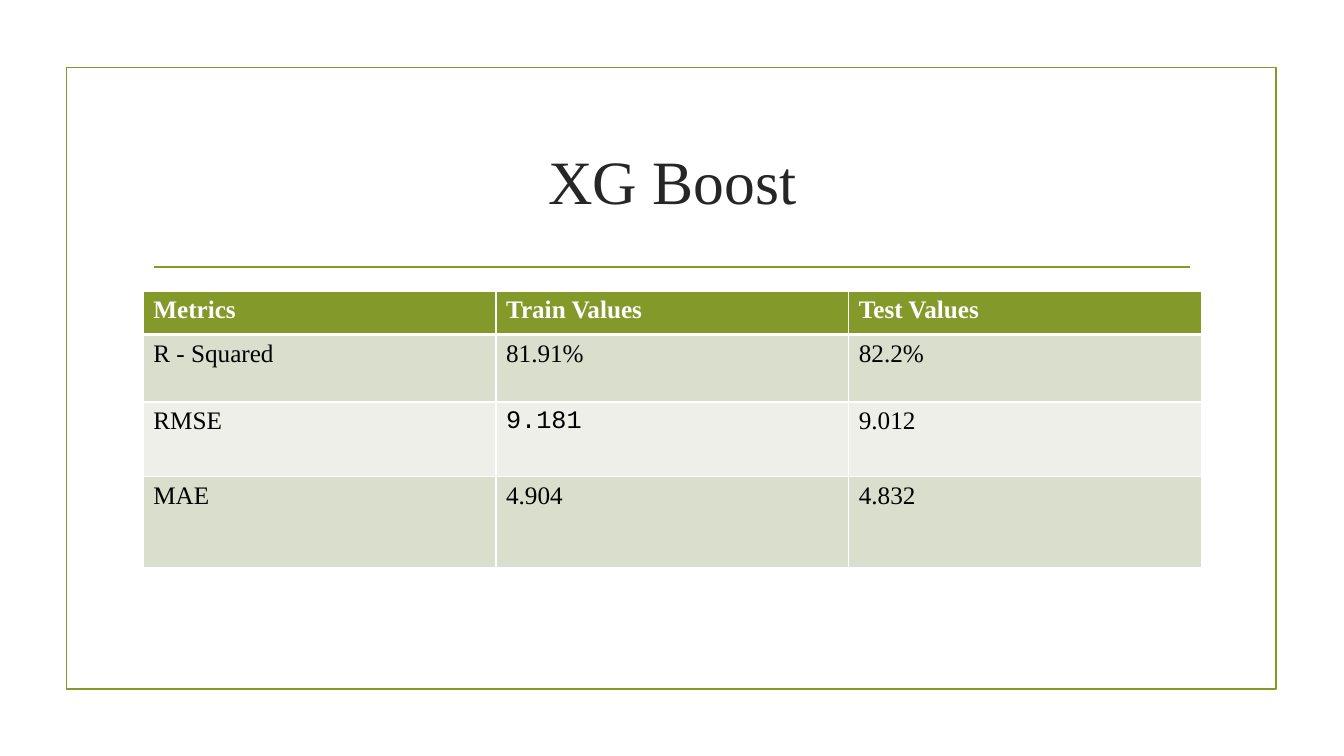
from dataclasses import dataclass

from lxml import etree
from pptx import Presentation
from pptx.dml.color import RGBColor
from pptx.enum.shapes import MSO_CONNECTOR, MSO_SHAPE
from pptx.enum.text import MSO_ANCHOR, PP_ALIGN
from pptx.oxml.ns import qn
from pptx.slide import Slide
from pptx.table import _Cell
from pptx.text.text import _Paragraph
from pptx.util import Cm, Pt

RECTANGLE = MSO_SHAPE.RECTANGLE
STRAIGHT = MSO_CONNECTOR.STRAIGHT
MIDDLE = MSO_ANCHOR.MIDDLE
CENTER = PP_ALIGN.CENTER

GREEN = RGBColor(0x83, 0x99, 0x2A)
DARK_BAND = RGBColor(0xD9, 0xDE, 0xCD)
LIGHT_BAND = RGBColor(0xED, 0xEF, 0xE8)
WHITE = RGBColor(0xFF, 0xFF, 0xFF)
BLACK = RGBColor(0x00, 0x00, 0x00)
TITLE_GREY = RGBColor(0x26, 0x26, 0x26)

SERIF = "Times New Roman"
MONOSPACE = "Courier New"

CONTENT_LEFT = 3.61
CONTENT_WIDTH = 26.67
RULE_WIDTH = Pt(1.25)
THIN_BORDER = 1
HEADER_BORDER = 3


@dataclass(frozen=True)
class TextStyle:
    size: float
    color: RGBColor
    font: str = SERIF
    bold: bool = False


@dataclass(frozen=True)
class MetricRow:
    texts: tuple[str, str, str]
    height: float
    fill: RGBColor


TITLE_STYLE = TextStyle(44, TITLE_GREY)
HEADER_STYLE = TextStyle(18, WHITE, bold=True)
BODY_STYLE = TextStyle(18, BLACK)
MONOSPACE_STYLE = TextStyle(18, BLACK, MONOSPACE)
MONOSPACE_CELL = (2, 1)

ROWS = (
    MetricRow(("Metrics", "Train Values", "Test Values"), 1.09, GREEN),
    MetricRow(("R - Squared", "81.91%", "82.2%"), 1.7, DARK_BAND),
    MetricRow(("RMSE", "9.181", "9.012"), 1.88, LIGHT_BAND),
    MetricRow(("MAE", "4.904", "4.832"), 2.29, DARK_BAND),
)


def add_run(paragraph: _Paragraph, text: str, style: TextStyle) -> None:
    run = paragraph.add_run()
    run.text = text
    run.font.name = style.font
    run.font.size = Pt(style.size)
    run.font.bold = style.bold
    run.font.color.rgb = style.color


def add_frame(slide: Slide) -> None:
    frame = slide.shapes.add_shape(RECTANGLE, Cm(1.68), Cm(1.7), Cm(30.48), Cm(15.67))
    frame.shadow.inherit = False
    frame.fill.background()
    frame.line.color.rgb = GREEN
    frame.line.width = RULE_WIDTH


def add_title_rule(slide: Slide) -> None:
    rule = slide.shapes.add_connector(STRAIGHT, Cm(3.89), Cm(6.73), Cm(30), Cm(6.73))
    rule.line.color.rgb = GREEN
    rule.line.width = RULE_WIDTH
    etree.SubElement(rule._element.spPr, qn("a:effectLst"))


def add_title(slide: Slide) -> None:
    title = slide.shapes.add_textbox(
        Cm(CONTENT_LEFT), Cm(2.72), Cm(CONTENT_WIDTH), Cm(3.63)
    )
    title.text_frame.word_wrap = True
    title.text_frame.vertical_anchor = MIDDLE
    paragraph = title.text_frame.paragraphs[0]
    paragraph.alignment = CENTER
    add_run(paragraph, "XG Boost", TITLE_STYLE)


def add_borders(cell: _Cell, top: float, bottom: float) -> None:
    """Draw white borders; call before filling, as the schema puts lines first."""
    properties = cell._tc.get_or_add_tcPr()
    widths = {"lnL": THIN_BORDER, "lnR": THIN_BORDER, "lnT": top, "lnB": bottom}
    for side, width in widths.items():
        line = etree.SubElement(properties, qn(f"a:{side}"), w=str(Pt(width)))
        fill = etree.SubElement(line, qn("a:solidFill"))
        etree.SubElement(fill, qn("a:srgbClr"), val=str(WHITE))


def cell_style(row_index: int, column_index: int) -> TextStyle:
    if row_index == 0:
        return HEADER_STYLE
    if (row_index, column_index) == MONOSPACE_CELL:
        return MONOSPACE_STYLE
    return BODY_STYLE


def add_metrics_table(slide: Slide) -> None:
    column_count = len(ROWS[0].texts)
    table = slide.shapes.add_table(
        len(ROWS), column_count, Cm(CONTENT_LEFT), Cm(7.34),
        Cm(CONTENT_WIDTH), Cm(sum(row.height for row in ROWS)),
    ).table
    for column in table.columns:
        column.width = Cm(CONTENT_WIDTH / column_count)
    for row_index, row in enumerate(ROWS):
        table.rows[row_index].height = Cm(row.height)
        top = HEADER_BORDER if row_index == 1 else THIN_BORDER
        bottom = HEADER_BORDER if row_index == 0 else THIN_BORDER
        for column_index, text in enumerate(row.texts):
            cell = table.cell(row_index, column_index)
            add_borders(cell, top, bottom)
            cell.fill.solid()
            cell.fill.fore_color.rgb = row.fill
            style = cell_style(row_index, column_index)
            add_run(cell.text_frame.paragraphs[0], text, style)


def main() -> None:
    presentation = Presentation()
    presentation.slide_width = Cm(33.87)
    presentation.slide_height = Cm(19.05)
    slide = presentation.slides.add_slide(presentation.slide_layouts[6])
    add_frame(slide)
    add_title_rule(slide)
    add_title(slide)
    add_metrics_table(slide)
    presentation.save("out.pptx")


if __name__ == "__main__":
    main()
